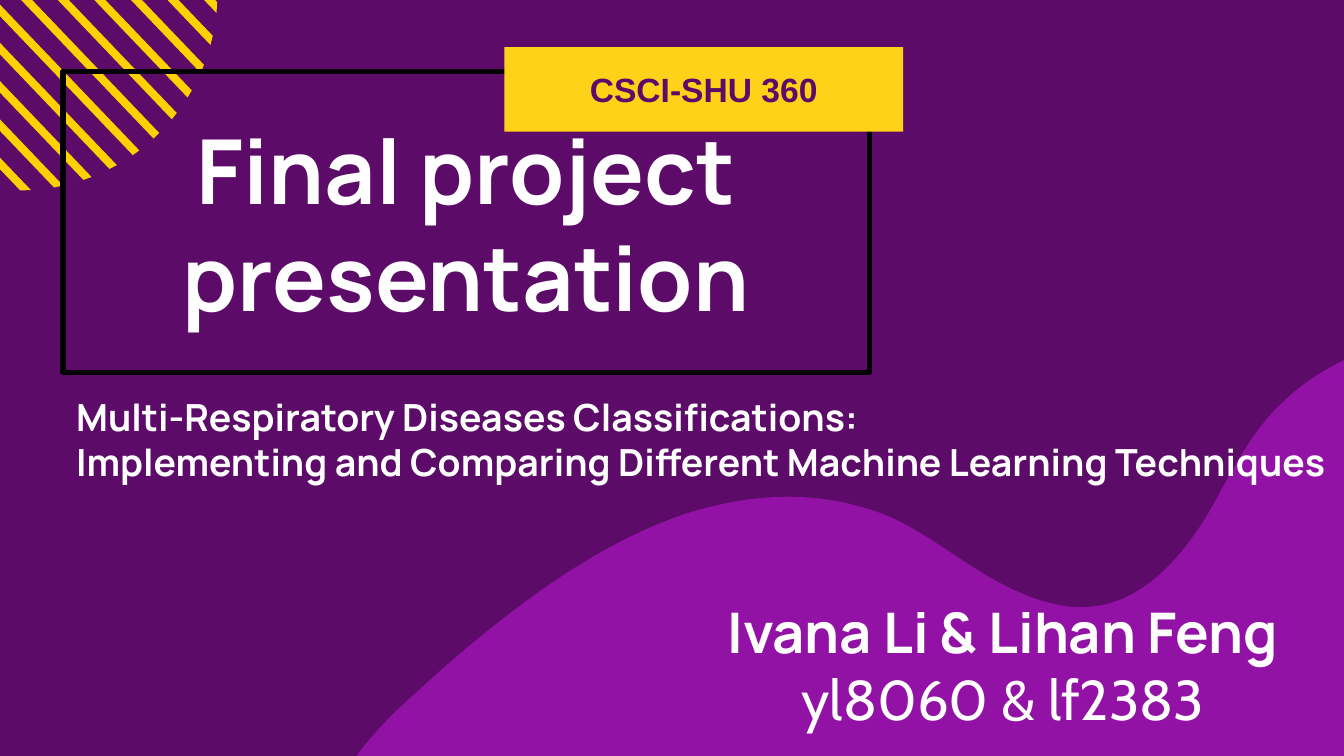
from math import cos, radians, sin, sqrt

from pptx import Presentation
from pptx.dml.color import RGBColor
from pptx.enum.text import MSO_ANCHOR, MSO_AUTO_SIZE, PP_ALIGN
from pptx.util import Cm, Pt

PURPLE = RGBColor(0x5C, 0x0B, 0x68)
VIOLET = RGBColor(0x93, 0x12, 0xA6)
GOLD = RGBColor(0xFF, 0xD1, 0x00)
YELLOW = RGBColor(0xFF, 0xD1, 0x19)
WHITE = RGBColor(0xFF, 0xFF, 0xFF)
BLACK = RGBColor(0x00, 0x00, 0x00)

# Wave crest in cm from the box corner: a start, then (control, control, end)
WAVE_START = (19.51, 0)
WAVE_CURVES = [
    ((19.0, 0.25), (18.47, 0.53), (18.06, 0.94)),
    ((17.42, 1.52), (17.04, 2.36), (16.61, 3.1)),
    ((16.15, 3.84), (15.54, 4.57), (14.68, 4.78)),
    ((14.53, 4.8), (14.38, 4.83), (14.25, 4.83)),
    ((13.64, 4.83), (13.06, 4.57), (12.55, 4.29)),
    ((11.89, 3.91), (11.3, 3.43), (10.62, 3.12)),
    ((10.01, 2.87), (9.35, 2.74), (8.71, 2.74)),
    ((8.03, 2.74), (7.37, 2.87), (6.73, 3.07)),
    ((5.46, 3.51), (4.34, 4.24), (3.3, 5.05)),
    ((2.74, 5.49), (2.21, 5.94), (1.68, 6.43)),
    ((0.99, 7.04), (0.3, 7.77), (0, 8.64)),
]
WAVE_BASE = [(19.79, 8.64), (19.79, 0.25)]


def curve_points(start, first, second, end, steps=16):
    """Points along a cubic curve, without its start."""
    for step in range(1, steps + 1):
        t = step / steps
        u = 1 - t
        yield tuple(
            u**3 * a + 3 * u * u * t * b + 3 * u * t * t * c + t**3 * d
            for a, b, c, d in zip(start, first, second, end)
        )


def draw_outline(shapes, points, color, left=0, top=0):
    """Filled outline through points in cm, measured from left and top."""
    corners = [(Cm(x), Cm(y)) for x, y in points]
    builder = shapes.build_freeform(*corners[0])
    builder.add_line_segments(corners[1:], close=True)
    shape = builder.convert_to_shape(left, top)
    shape.shadow.inherit = False
    shape.fill.solid()
    shape.fill.fore_color.rgb = color
    shape.line.fill.background()


def draw_wave(slide, left, top):
    points = [WAVE_START]
    for curve in WAVE_CURVES:
        points.extend(curve_points(points[-1], *curve))
    draw_outline(slide.shapes, points + WAVE_BASE, VIOLET, left, top)


def draw_striped_disc(slide, center_left, center_top, radius=3.73):
    """Eleven slanted chords of one circle, evenly spaced."""
    pitch, thickness, angle = 0.5, 0.15, radians(46.3)
    group = slide.shapes.add_group_shape()
    for index in range(-5, 6):
        corners = []
        for edge, directions in ((-1, (-1, 1)), (1, (1, -1))):
            offset = index * pitch + edge * thickness / 2
            half_chord = sqrt(radius**2 - offset**2)
            for direction in directions:
                along = direction * half_chord
                corners.append((
                    along * cos(angle) + offset * sin(angle),
                    along * sin(angle) - offset * cos(angle),
                ))
        draw_outline(group.shapes, corners, GOLD, center_left, center_top)


def write_text(shape, box, lines, size, color, align=PP_ALIGN.CENTER,
               anchor=MSO_ANCHOR.TOP, inset=Cm(0.25)):
    """Place a text shape; each line is (text, font name, bold)."""
    for name, value in zip(("left", "top", "width", "height"), box):
        setattr(shape, name, value)
    frame = shape.text_frame
    frame_format = {
        "word_wrap": True, "auto_size": MSO_AUTO_SIZE.NONE,
        "vertical_anchor": anchor, "margin_left": inset, "margin_right": inset,
        "margin_top": inset, "margin_bottom": inset,
    }
    for name, value in frame_format.items():
        setattr(frame, name, value)
    for index, (text, font_name, bold) in enumerate(lines):
        paragraph = frame.add_paragraph() if index else frame.paragraphs[0]
        paragraph.alignment = align
        paragraph.space_before = Pt(0)
        run = paragraph.add_run()
        run.text = text
        run.font.color.rgb = color
        for name, value in {"name": font_name, "size": size, "bold": bold}.items():
            setattr(run.font, name, value)


def add_title(slide, box):
    title = slide.shapes.title
    slide.shapes._spTree.append(title._element)  # in front of the decoration
    write_text(title, box, [("Final project presentation", "Manrope", True)],
               Pt(48), WHITE, anchor=MSO_ANCHOR.MIDDLE, inset=Cm(2))
    title.line.color.rgb = BLACK
    title.line.width = Pt(3)


def add_course_label(slide, box):
    label = slide.placeholders[1]
    slide.shapes._spTree.append(label._element)  # over the title frame
    write_text(label, box, [("CSCI-SHU 360", "Arial", True)],
               Pt(18), PURPLE, anchor=MSO_ANCHOR.MIDDLE)
    label.fill.solid()
    label.fill.fore_color.rgb = YELLOW


def add_authors(slide, box):
    lines = [("Ivana Li & Lihan Feng", "Manrope", True),
             ("yl8060 & lf2383", "Cabin", False)]
    write_text(slide.shapes.add_textbox(*box), box, lines, Pt(30), WHITE)


def add_topic(slide, box):
    lines = [
        ("Multi-Respiratory Diseases Classifications:", "Manrope", True),
        ("Implementing and Comparing Different Machine Learning Techniques",
         "Manrope", True),
    ]
    write_text(slide.shapes.add_textbox(*box), box, lines, Pt(20), WHITE,
               align=PP_ALIGN.LEFT)


def main():
    presentation = Presentation()
    presentation.slide_width = Cm(25.4)
    presentation.slide_height = Cm(14.29)
    slide = presentation.slides.add_slide(presentation.slide_layouts[0])
    slide.background.fill.solid()
    slide.background.fill.fore_color.rgb = PURPLE

    # Decoration
    draw_wave(slide, Cm(6.2), Cm(6.65))
    draw_striped_disc(slide, Cm(0.38), Cm(-0.13))

    # Text
    add_title(slide, (Cm(1.19), Cm(1.35), Cm(15.24), Cm(5.69)))
    add_course_label(slide, (Cm(9.53), Cm(0.89), Cm(7.54), Cm(1.6)))
    add_authors(slide, (Cm(11.63), Cm(11.05), Cm(14.66), Cm(1.6)))
    add_topic(slide, (Cm(1.19), Cm(7.21), Cm(24.69), Cm(1.6)))

    presentation.save("out.pptx")


if __name__ == "__main__":
    main()
